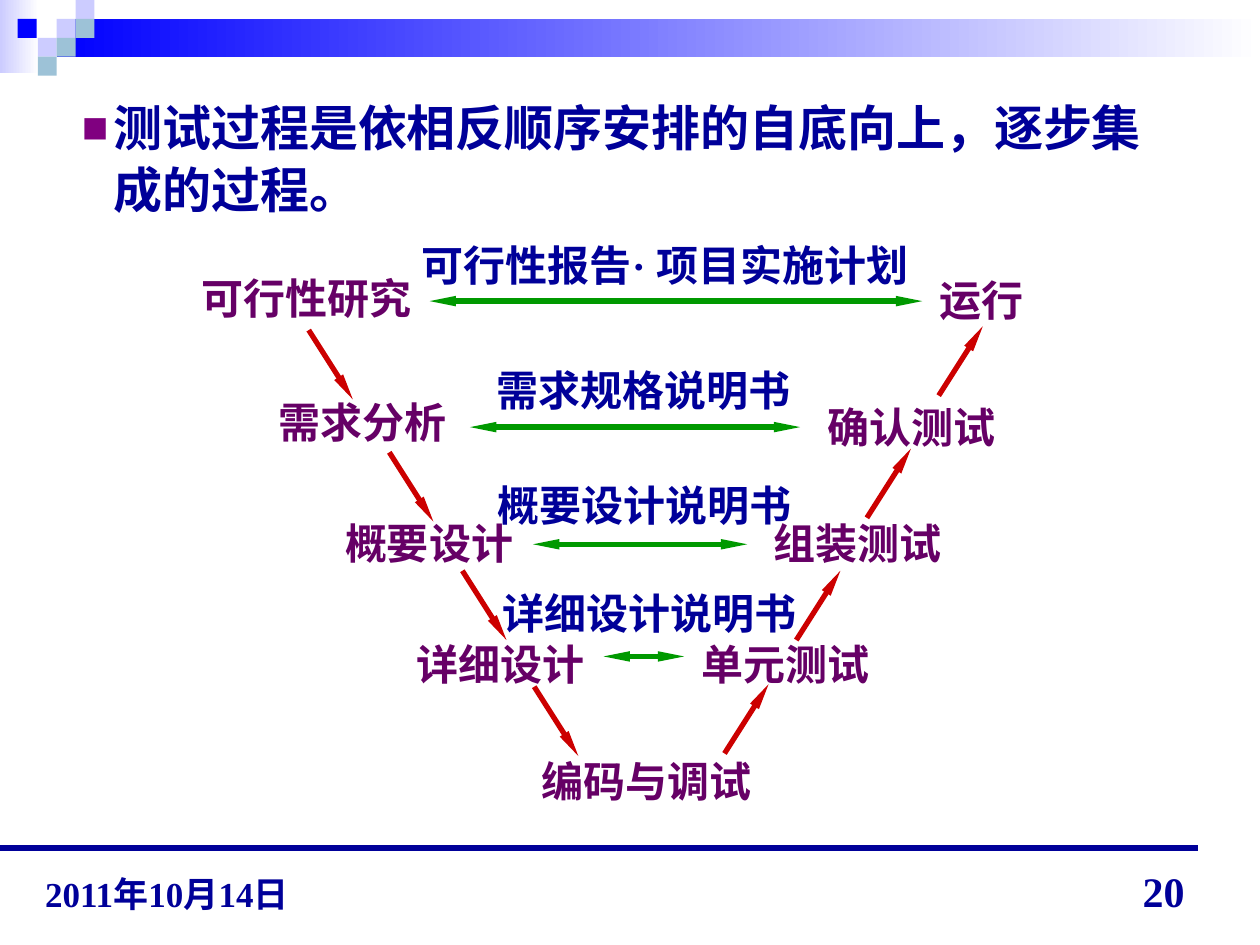
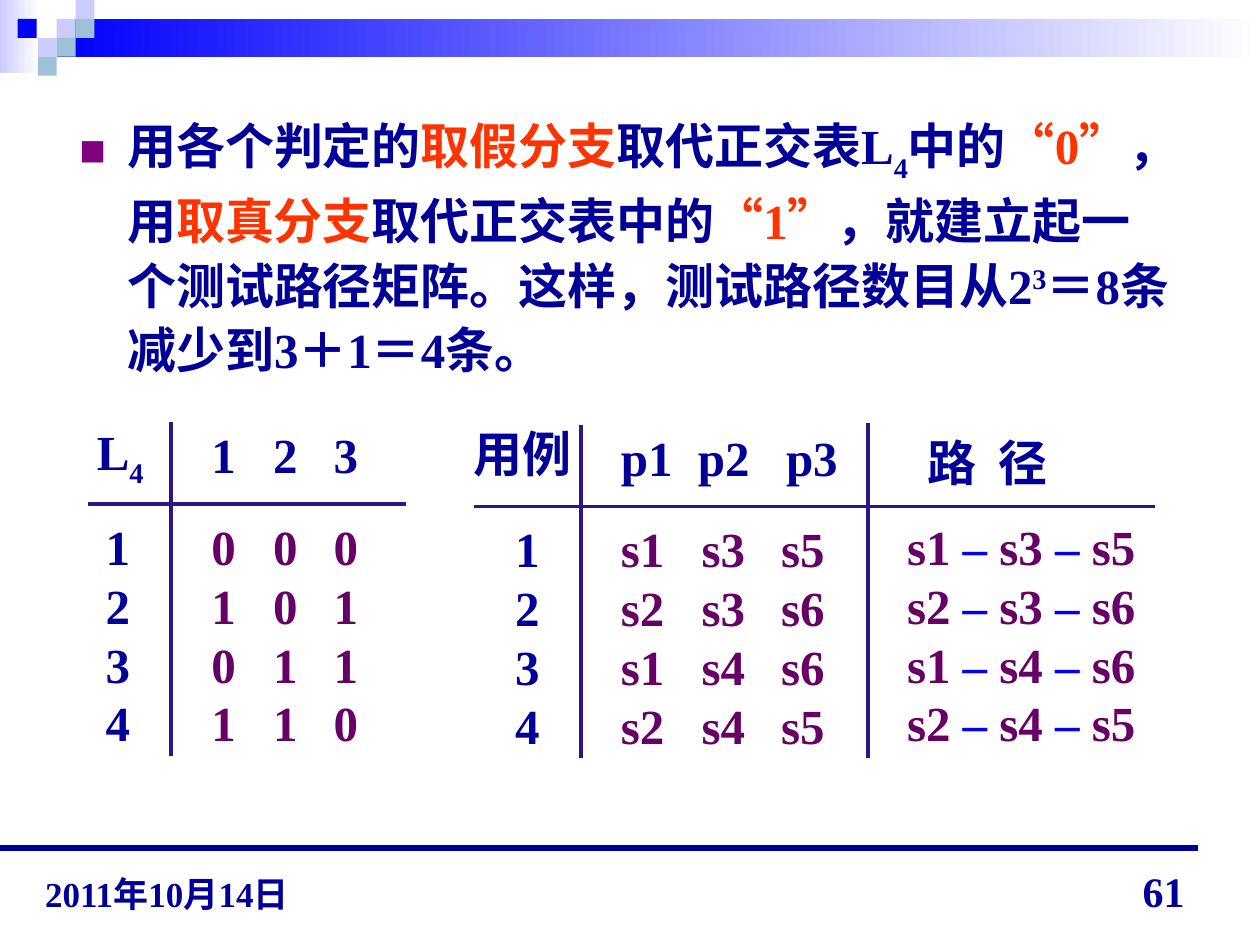
from dataclasses import dataclass
from typing import Any, NamedTuple

from lxml import etree
from pptx import Presentation
from pptx import util as u
from pptx.dml.color import RGBColor
from pptx.enum import shapes, text
from pptx.oxml.ns import qn

COLORS = {
    "navy": "000099", "plum": "660066", "orange": "FF3300", "blue": "0000FF",
    "red": "CC0000", "green": "009900", "rule": "2C1588", "bullet": "800080",
    "lilac": "CCCCFF", "teal": "9DC2D7", "white": "FFFFFF",
}
FONT = {"name": "Times New Roman", "bold": True}
FOOTER_DATE = "2011年10月14日"
BODY_LAYOUT = 1
MASTER_ID = 100


class Run(NamedTuple):
    text: str
    color: str = "navy"
    baseline: int = 0


class Box(NamedTuple):
    left: float
    top: float
    width: float
    height: float


@dataclass
class Label:
    box: Box
    paras: list[list[Run]]
    size: int = 24
    tabs: tuple[float, ...] = ()
    align: Any = text.PP_ALIGN.LEFT
    anchor: Any = text.MSO_ANCHOR.TOP
    wrap: bool = False


@dataclass
class Line:
    start: tuple[float, float]
    end: tuple[float, float]
    color: str
    width: float
    ends: tuple[str, ...] = ()


class Band(NamedTuple):
    box: Box
    color: str
    fades: bool = False


TILE = 0.15
BANDS = [
    Band(Box(0, 0, 0.31, 0.58), "lilac", True),
    Band(Box(0.45, 0.15, 9.55, 0.3), "blue", True),
] + [
    Band(Box(left, top, TILE, TILE), color)
    for left, top, color in [
        (0.45, 0.15, "lilac"), (0.6, 0, "lilac"), (0.6, 0.15, "teal"),
        (0.3, 0.3, "lilac"), (0.14, 0.15, "blue"), (0.45, 0.3, "teal"),
        (0.3, 0.45, "teal"),
    ]
]


def rgb(color: str) -> RGBColor:
    return RGBColor.from_string(COLORS[color])


def inches(box: Box) -> list[u.Length]:
    return [u.Inches(v) for v in box]


def apply(target: Any, values: dict[str, Any]) -> None:
    for name, value in values.items():
        setattr(target, name, value)


def add_xml(parent: Any, tag: str, **attrs: Any) -> Any:
    return etree.SubElement(parent, qn(tag), {k: str(v) for k, v in attrs.items()})


def add_runs(p: Any, runs: list[Run], size: int) -> None:
    for run in runs:
        r = p.add_run()
        r.text = run.text
        apply(r.font, {**FONT, "size": u.Pt(size)})
        r.font.color.rgb = rgb(run.color)
        props = r._r.get_or_add_rPr()
        props.set("lang", "zh-CN")
        if run.baseline:
            props.set("baseline", str(run.baseline * 1000))


def add_label(s: Any, label: Label) -> None:
    tf = s.shapes.add_textbox(*inches(label.box)).text_frame
    apply(tf, {
        "word_wrap": label.wrap,
        "auto_size": text.MSO_AUTO_SIZE.NONE,
        "vertical_anchor": label.anchor,
    })
    for i, runs in enumerate(label.paras):
        p = tf.add_paragraph() if i else tf.paragraphs[0]
        if label.tabs:
            stops = add_xml(p._p.get_or_add_pPr(), "a:tabLst")
            for stop in label.tabs:
                add_xml(stops, "a:tab", pos=u.Inches(stop), algn="l")
        p.alignment = label.align
        add_runs(p, runs, label.size)


def add_line(s: Any, line: Line) -> Any:
    points = [u.Inches(v) for v in (*line.start, *line.end)]
    sp = s.shapes.add_connector(shapes.MSO_CONNECTOR.STRAIGHT, *points)
    sp.line.color.rgb = rgb(line.color)
    sp.line.width = u.Pt(line.width)
    props = sp.element.spPr
    for end in line.ends:
        add_xml(props.find(qn("a:ln")), end, type="triangle", w="sm", len="lg")
    add_xml(props, "a:effectLst")
    return sp


def add_band(s: Any, band: Band) -> Any:
    sp = s.shapes.add_shape(shapes.MSO_SHAPE.RECTANGLE, *inches(band.box))
    sp.shadow.inherit = False
    sp.line.fill.background()
    if band.fades:
        sp.fill.gradient()
        sp.fill.gradient_angle = 0
        for stop, color in zip(sp.fill.gradient_stops, (band.color, "white")):
            stop.color.rgb = rgb(color)
    else:
        sp.fill.solid()
        sp.fill.fore_color.rgb = rgb(band.color)
    return sp


def decorate_master(prs: Any, s: Any) -> None:
    drawn = [add_band(s, band) for band in BANDS]
    drawn.append(add_line(s, Line((0, 6.73), (9.51, 6.73), "navy", 3.25)))
    for i, sp in enumerate(drawn, MASTER_ID):
        sp.element.xpath(".//p:cNvPr")[0].set("id", str(i))
        prs.slide_master.shapes.element.append(sp.element)


def new_slide(prs: Any, number: str) -> Any:
    s = prs.slides.add_slide(prs.slide_layouts[BODY_LAYOUT])
    title = s.shapes.title.element
    title.getparent().remove(title)
    bottom = text.MSO_ANCHOR.BOTTOM
    add_label(s, Label(Box(7.17, 6.82, 2.33, 0.5), [[Run(number)]],
                       align=text.PP_ALIGN.RIGHT, anchor=bottom, wrap=True))
    add_label(s, Label(Box(0.26, 6.79, 2.57, 0.52), [[Run(FOOTER_DATE)]], 20,
                       anchor=bottom, wrap=True))
    return s


def fill_body(s: Any, box: Box, runs: list[Run], indent: float, spacing: float) -> None:
    sp = s.placeholders[1]
    apply(sp, dict(zip(("left", "top", "width", "height"), inches(box))))
    tf = sp.text_frame
    apply(tf, {
        "word_wrap": True,
        "auto_size": text.MSO_AUTO_SIZE.NONE,
        "vertical_anchor": text.MSO_ANCHOR.TOP,
    })
    p = tf.paragraphs[0]
    props = p._p.get_or_add_pPr()
    props.set("marL", str(u.Inches(indent)))
    props.set("indent", str(u.Inches(-indent)))
    add_xml(add_xml(props, "a:buClr"), "a:srgbClr", val=COLORS["bullet"])
    add_xml(props, "a:buSzPct", val=90000)
    add_xml(props, "a:buChar", char="■")
    apply(p, {"line_spacing": spacing, "space_before": u.Pt(0)})
    add_runs(p, runs, 28)


def build_v_model(s: Any) -> None:
    fill_body(s, Box(0.55, 0.7, 8.95, 1.42),
              [Run("测试过程是依相反顺序安排的自底向上，逐步集成的过程。")], 0.25, 1.05)
    stages = [
        ("可行性研究", 1.5, 2.11, 1.86), ("需求分析", 2.11, 3.1, 1.53),
        ("概要设计", 2.64, 4.06, 1.53), ("详细设计", 3.21, 5.02, 1.53),
        ("编码与调试", 4.2, 5.95, 1.86), ("单元测试", 5.47, 5.02, 1.53),
        ("组装测试", 6.04, 4.06, 1.53), ("确认测试", 6.47, 3.14, 1.53),
        ("运行", 7.36, 2.13, 0.87),
    ]
    documents = [
        ("可行性报告· 项目实施计划", 3.25, 1.85, 4.22),
        ("需求规格说明书", 3.84, 2.84, 2.53),
        ("概要设计说明书", 3.85, 3.76, 2.53),
        ("详细设计说明书", 3.89, 4.61, 2.53),
    ]
    steps_down = [(2.45, 2.62), (3.09, 3.59), (3.67, 4.53), (4.24, 5.45)]
    steps_up = [(5.75, 5.98), (6.32, 5.08), (6.88, 4.11), (7.45, 3.14)]
    links = [(3.41, 7.32, 2.39), (3.73, 6.35, 3.39),
             (4.23, 5.93, 4.32), (4.79, 5.43, 5.21)]

    for group, color in ((stages, "plum"), (documents, "navy")):
        for name, left, top, width in group:
            add_label(s, Label(Box(left, top, width, 0.5), [[Run(name, color)]]))
    for steps, rise in ((steps_down, 0.55), (steps_up, -0.55)):
        for x, y in steps:
            add_line(s, Line((x, y), (x + 0.35, y + rise), "red", 3, ("a:tailEnd",)))
    for x1, x2, y in links:
        add_line(s, Line((x1, y), (x2, y), "green", 3, ("a:headEnd", "a:tailEnd")))


def tabbed(rows: list[list[str]], color: str) -> list[list[Run]]:
    return [[Run("\t".join(row), color)] for row in rows]


def route(nodes: list[str]) -> list[Run]:
    runs = [Run(nodes[0], "plum")]
    for node in nodes[1:]:
        runs += [Run(" – ", "blue"), Run(node, "plum")]
    return runs


def build_path_matrix(s: Any) -> None:
    fill_body(s, Box(0.53, 0.81, 8.85, 2.37), [
        Run("用各个判定的"), Run("取假分支", "orange"), Run("取代正交表L"),
        Run("4", baseline=-30), Run("中的"), Run("“0”", "orange"), Run("，用"),
        Run("取真分支", "orange"), Run("取代正交表中的"), Run("“1”", "orange"),
        Run("，就建立起一个测试路径矩阵。这样，测试路径数目从2"),
        Run("3", baseline=30), Run("＝8条减少到3＋1＝4条。"),
    ], 0.38, 1.1)
    levels = [list(row) for row in ("000", "101", "011", "110")]
    paths = [[f"s{2 * i + 1 + int(v)}" for i, v in enumerate(row)] for row in levels]
    numbers = [[Run(str(i))] for i in range(1, len(levels) + 1)]
    level_tabs, path_tabs = (0.49, 0.97), (0.64, 1.27)

    labels = [
        Label(Box(0.67, 3.3, 0.57, 0.63), [[Run("L"), Run("4", baseline=-25)]]),
        Label(Box(1.58, 3.32, 1.5, 0.57), tabbed([list("123")], "navy"), tabs=level_tabs),
        Label(Box(0.74, 4.05, 0.39, 1.97), numbers),
        Label(Box(1.58, 4.05, 1.5, 1.97), tabbed(levels, "plum"), tabs=level_tabs),
        Label(Box(3.66, 3.31, 0.97, 0.57), [[Run("用例")]]),
        Label(Box(4.83, 3.34, 2.05, 0.57), tabbed([["p1", "p2", "p3"]], "navy"),
              tabs=(0.61, 1.31)),
        Label(Box(7.26, 3.38, 1.5, 0.57), tabbed([["路", "径"]], "navy"), tabs=(0.57,)),
        Label(Box(3.99, 4.07, 0.39, 1.97), numbers),
        Label(Box(4.83, 4.07, 2.05, 1.97), tabbed(paths, "plum"), tabs=path_tabs),
        Label(Box(7.1, 4.05, 2.01, 1.97), [route(row) for row in paths]),
    ]
    for label in labels:
        apply(label, {"size": 28, "wrap": bool(label.tabs)})
        add_label(s, label)
    rules = [
        ((0.7, 4), (3.22, 4)), ((1.36, 3.35), (1.36, 6)),
        ((3.76, 4.02), (9.17, 4.02)), ((4.61, 3.37), (4.61, 6.02)),
        ((6.89, 3.36), (6.89, 6.02)),
    ]
    for start, end in rules:
        add_line(s, Line(start, end, "rule", 2.25))


def main() -> None:
    prs = Presentation()
    prs.slide_width, prs.slide_height = u.Inches(10), u.Inches(7.5)
    for number, build in (("20", build_v_model), ("61", build_path_matrix)):
        build(new_slide(prs, number))
    decorate_master(prs, prs.slides[0])
    prs.save("out.pptx")


if __name__ == "__main__":
    main()
